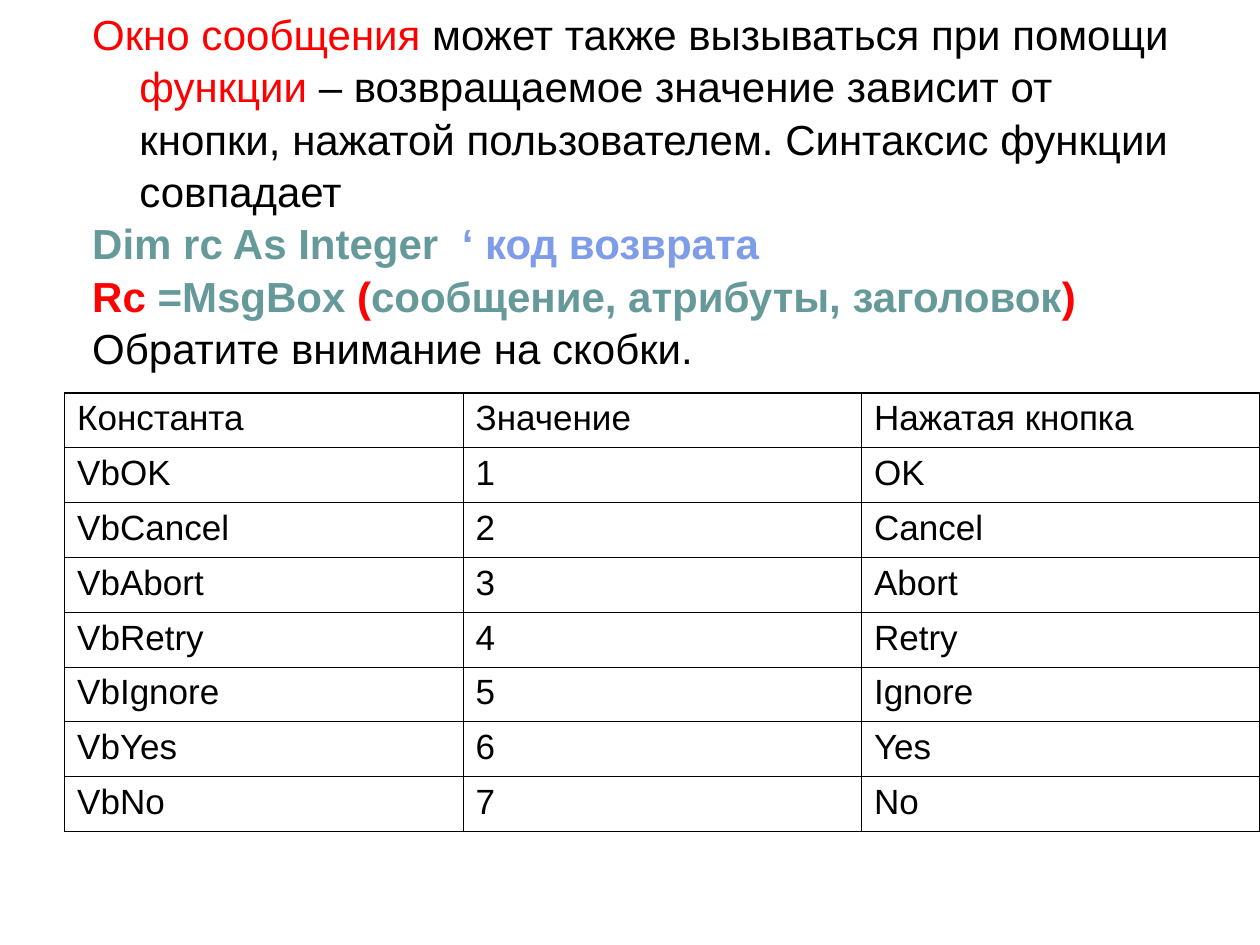
from lxml.etree import SubElement
from pptx import Presentation
from pptx.dml.color import RGBColor
from pptx.enum.text import MSO_ANCHOR, MSO_AUTO_SIZE, PP_ALIGN
from pptx.oxml.ns import qn
from pptx.util import Pt

FONT = "Arial"
BLACK = RGBColor(0x00, 0x00, 0x00)
RED = RGBColor(0xFF, 0x00, 0x00)
TEAL = RGBColor(0x66, 0x99, 0x99)
BLUE = RGBColor(0x7E, 0x9C, 0xE8)

# Content: each paragraph is (bold, runs), each run is (text, colour)
PARAGRAPHS = [
    (False, [
        ("Окно сообщения", RED),
        (" может также вызываться при помощи ", BLACK),
        ("функции", RED),
        (" – возвращаемое значение зависит от кнопки, нажатой пользователем."
         " Синтаксис функции совпадает", BLACK),
    ]),
    (True, [("Dim rc As Integer  ", TEAL), ("‘ код возврата", BLUE)]),
    (True, [
        ("Rc", RED), (" =MsgBox ", TEAL), ("(", RED),
        ("сообщение, атрибуты, заголовок", TEAL), (")", RED),
    ]),
    (False, [("Обратите внимание на скобки.", BLACK)]),
]
HEADER = ("Константа", "Значение", "Нажатая кнопка")
BUTTONS = ["OK", "Cancel", "Abort", "Retry", "Ignore", "Yes", "No"]
ROWS = [HEADER] + [("Vb" + b, str(i), b) for i, b in enumerate(BUTTONS, 1)]

# Layout, in points
BODY = (45.5, 0, 638.5, 356.5)
INDENT = 27
TABLE_LEFT, TABLE_TOP = 36.9, 224.5
COL_W, ROW_H = 227.7, 31.35
THIN, THICK = 0.45, 1.08


def add_text(p, text, size=20, color=BLACK, bold=False):
    r = p.add_run()
    r.text = text
    r.font.name, r.font.size = FONT, Pt(size)
    r.font.bold = bold
    r.font.color.rgb = color


def set_borders(cell, widths):
    tcPr = cell._tc.get_or_add_tcPr()
    for i, (tag, width) in enumerate(widths.items()):
        ln = tcPr.makeelement(qn("a:" + tag), {"w": str(Pt(width))})
        fill = SubElement(ln, qn("a:solidFill"))
        SubElement(fill, qn("a:srgbClr"), val=str(BLACK))
        tcPr.insert(i, ln)


prs = Presentation()
prs.slide_width, prs.slide_height = Pt(720), Pt(540)
s = prs.slides.add_slide(prs.slide_layouts[1])
title = s.shapes.title
title._element.getparent().remove(title._element)

# Explanation and syntax
body = s.placeholders[1]
body.left, body.top, body.width, body.height = map(Pt, BODY)
tf = body.text_frame
tf.word_wrap = True
tf.auto_size = MSO_AUTO_SIZE.NONE
tf.vertical_anchor = MSO_ANCHOR.TOP
for i, (bold, runs) in enumerate(PARAGRAPHS):
    p = tf.add_paragraph() if i else tf.paragraphs[0]
    p.alignment = PP_ALIGN.LEFT
    p.space_before = Pt(0 if i else 6)
    p.line_spacing = 1.04
    pPr = p._p.get_or_add_pPr()
    pPr.set("marL", str(Pt(INDENT)))
    pPr.set("indent", str(-Pt(INDENT)))
    SubElement(pPr, qn("a:buNone"))
    for text, color in runs:
        add_text(p, text, size=24, color=color, bold=bold)

# Table of return codes
n_rows, n_cols = len(ROWS), len(HEADER)
table = s.shapes.add_table(
    n_rows, n_cols, Pt(TABLE_LEFT), Pt(TABLE_TOP),
    Pt(COL_W * n_cols), Pt(ROW_H * n_rows)).table
table.first_row = table.horz_banding = False
for col in table.columns:
    col.width = Pt(COL_W)
for i, values in enumerate(ROWS):
    table.rows[i].height = Pt(ROW_H)
    for j, value in enumerate(values):
        cell = table.cell(i, j)
        cell.fill.background()
        p = cell.text_frame.paragraphs[0]
        p.space_before = Pt(5)
        add_text(p, value)
        # Outer edges are thick, inner lines thin
        edges = {"lnL": j == 0, "lnR": j == n_cols - 1,
                 "lnT": i == 0, "lnB": i == n_rows - 1}
        set_borders(cell, {k: THICK if outer else THIN
                           for k, outer in edges.items()})

prs.save("out.pptx")
